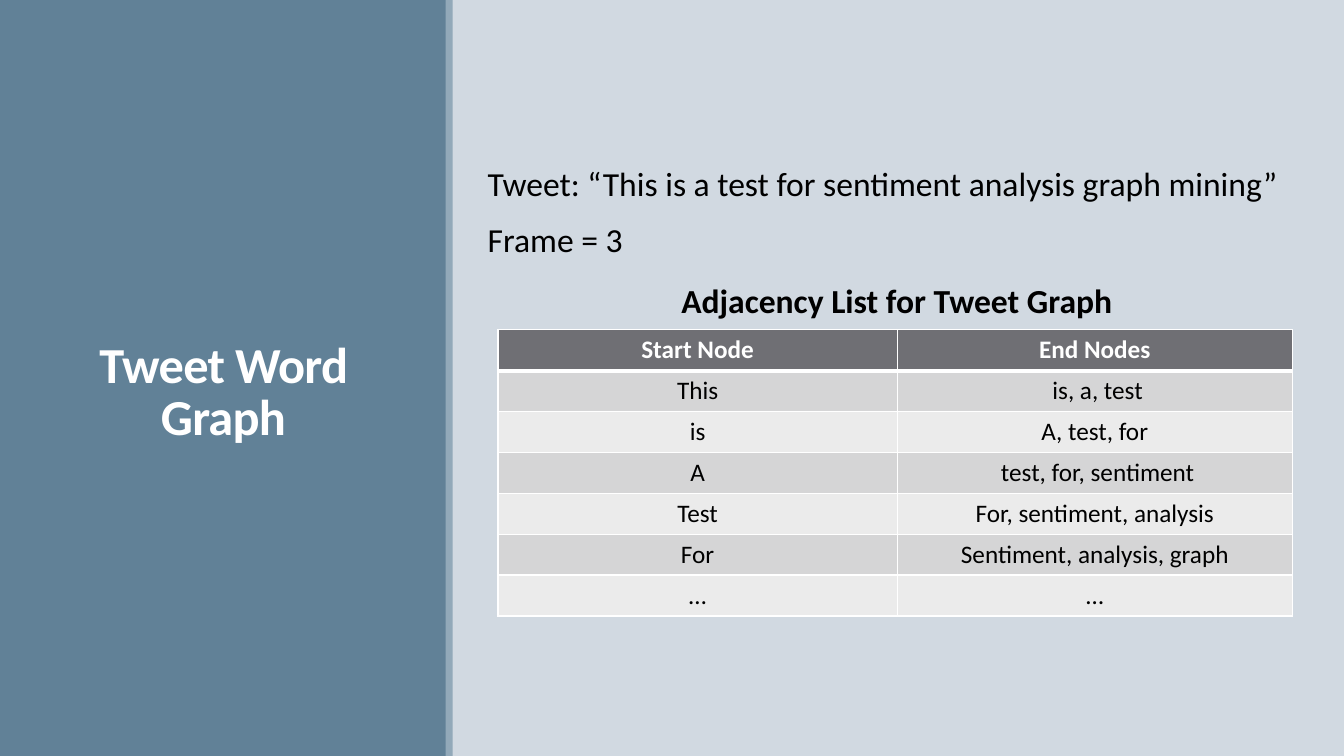
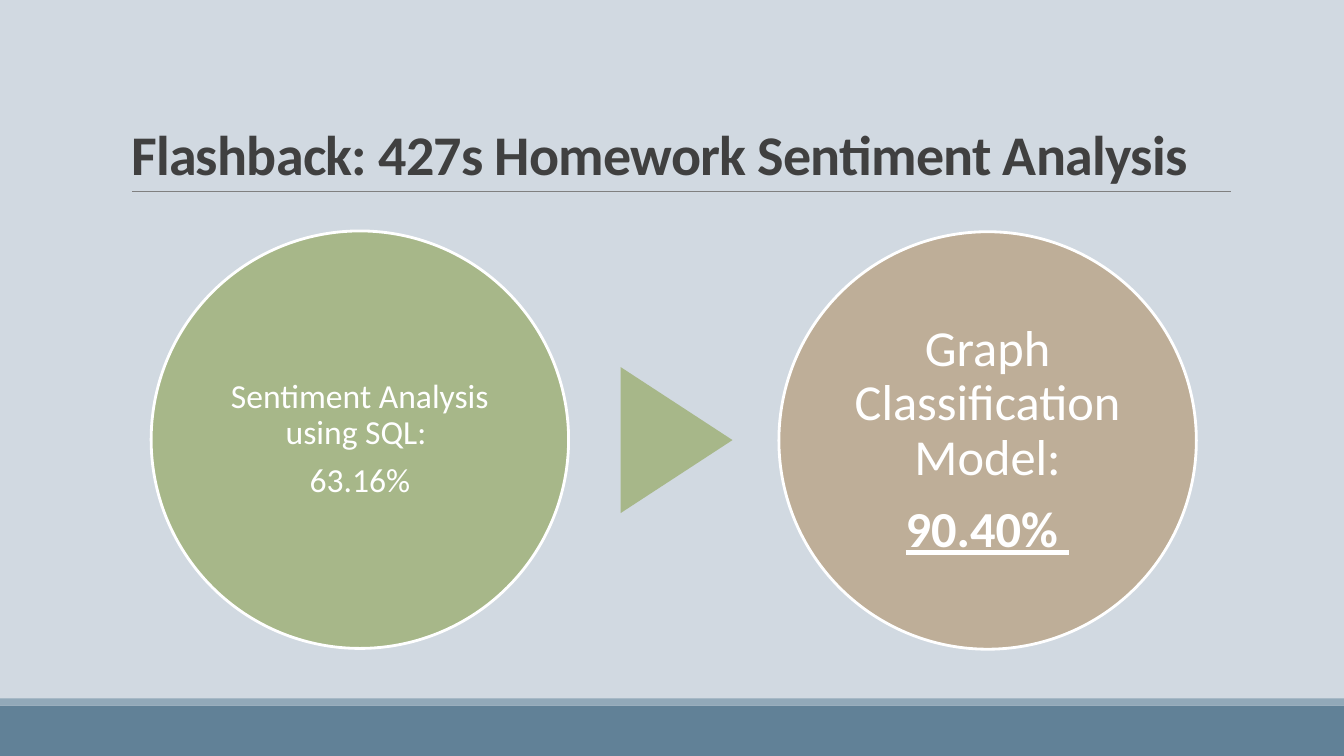
from lxml import etree
from pptx import Presentation
from pptx.dml.color import RGBColor
from pptx.enum.shapes import MSO_CONNECTOR, MSO_SHAPE
from pptx.enum.text import MSO_ANCHOR, MSO_AUTO_SIZE, PP_ALIGN
from pptx.oxml import parse_xml
from pptx.oxml.ns import nsdecls, qn
from pptx.util import Cm, Pt

LEFT, CENTER = PP_ALIGN.LEFT, PP_ALIGN.CENTER
TOP, MIDDLE, BOTTOM = MSO_ANCHOR.TOP, MSO_ANCHOR.MIDDLE, MSO_ANCHOR.BOTTOM
RECT, OVAL, TRIANGLE = MSO_SHAPE.RECTANGLE, MSO_SHAPE.OVAL, MSO_SHAPE.ISOSCELES_TRIANGLE
STRAIGHT = MSO_CONNECTOR.STRAIGHT
FIXED_SIZE = MSO_AUTO_SIZE.NONE

FONT = "Calibri"
WHITE = RGBColor(0xFF, 0xFF, 0xFF)
BLACK = RGBColor(0, 0, 0)
BACKGROUND = RGBColor(0xD1, 0xD9, 0xE1)
BAND = RGBColor(0x61, 0x81, 0x97)
STRIPE = RGBColor(0x92, 0xA9, 0xB9)
TITLE_GREY = RGBColor(0x40, 0x40, 0x40)
RULE_GREY = RGBColor(0x80, 0x80, 0x80)
GREEN = RGBColor(0xA7, 0xB7, 0x89)
TAN = RGBColor(0xBE, 0xAE, 0x98)
HEADER_FILL = RGBColor(0x6F, 0x6F, 0x74)
ROW_FILLS = RGBColor(0xEB, 0xEB, 0xEB), RGBColor(0xD5, 0xD5, 0xD6)

WIDTH, HEIGHT = 33.87, 19.05
STRIPE_SIZE = 0.18

# Slide content
GRAPH_TITLE = "Tweet Word Graph"
TWEET_LINES = [
    "Tweet: “This is a test for sentiment analysis graph mining”",
    "Frame = 3",
]
TABLE_CAPTION = "Adjacency List for Tweet Graph"
ADJACENCY = [
    ("Start Node", "End Nodes"),
    ("This", " is, a, test"),
    ("is", "A, test, for"),
    ("A", " test, for, sentiment"),
    ("Test", "For, sentiment, analysis"),
    ("For", "Sentiment, analysis, graph"),
    ("…", "…"),
]
FLASHBACK_TITLE = "Flashback: 427s Homework Sentiment Analysis"
# left, top, fill, text size, inset, (text, emphasised) paragraphs
MODELS = [
    (3.81, 5.82, GREEN, 24, 0.08,
     [("Sentiment Analysis using SQL: ", False), ("63.16%", False)]),
    (19.63, 5.84, TAN, 36, 0.13,
     [("Graph Classification Model:", False), ("90.40% ", True)]),
]
CIRCLE_SIZE = 10.52


def cms(*values):
    return [Cm(v) for v in values]


def add_run(p, text, size, color, bold=False):
    r = p.add_run()
    r.text = text
    r.font.name, r.font.size, r.font.bold = FONT, Pt(size), bold
    r.font.color.rgb = color
    return r


def place(sp, box, anchor):
    """Move a text shape to a box and fix its wrapping and anchor."""
    sp.left, sp.top, sp.width, sp.height = cms(*box)
    tf = sp.text_frame
    tf.auto_size = FIXED_SIZE
    tf.word_wrap = True
    tf.vertical_anchor = anchor
    return tf


def set_title(slide, text, box, size, color, align):
    p = place(slide.shapes.title, box, BOTTOM).paragraphs[0]
    p.alignment, p.line_spacing = align, 0.85
    r = add_run(p, text, size, color, bold=True)
    r.font._element.set("spc", "-50")


def add_filled(slide, kind, box, fill):
    sp = slide.shapes.add_shape(kind, *cms(*box))
    sp.shadow.inherit = False
    sp.fill.solid()
    sp.fill.fore_color.rgb = fill
    sp.line.fill.background()
    return sp


def add_bands(slide, band_box, stripe_box):
    """Draw the band and its stripe behind the placeholders."""
    for i, (box, fill) in enumerate(((band_box, BAND), (stripe_box, STRIPE))):
        el = add_filled(slide, RECT, box, fill).element
        el.getparent().insert(2 + i, el)


def set_borders(cell, top_width, bottom_width):
    tc_pr = cell._tc.get_or_add_tcPr()
    widths = {"lnL": 1, "lnR": 1, "lnT": top_width, "lnB": bottom_width}
    for i, (side, width) in enumerate(widths.items()):
        tc_pr.insert(i, parse_xml(
            f'<a:{side} {nsdecls("a")} w="{Pt(width)}"><a:solidFill>'
            f'<a:srgbClr val="{WHITE}"/></a:solidFill></a:{side}>'))


def add_adjacency_table(slide):
    row_height, col_widths = 1.03, (10.06, 9.96)
    table = slide.shapes.add_table(
        len(ADJACENCY), len(col_widths),
        *cms(12.55, 8.31, sum(col_widths), row_height * len(ADJACENCY))).table
    for col, width in zip(table.columns, col_widths):
        col.width = Cm(width)
    for i, texts in enumerate(ADJACENCY):
        header = i == 0
        table.rows[i].height = Cm(row_height)
        for j, text in enumerate(texts):
            cell = table.cell(i, j)
            cell.fill.solid()
            cell.fill.fore_color.rgb = HEADER_FILL if header else ROW_FILLS[i % 2]
            set_borders(cell, 3 if i == 1 else 1, 3 if header else 1)
            p = cell.text_frame.paragraphs[0]
            p.alignment = CENTER
            add_run(p, text, 18, WHITE if header else BLACK, header)


def build_graph_slide(prs):
    slide = prs.slides.add_slide(prs.slide_layouts[1])
    add_bands(slide, (0, 0, 11.25, HEIGHT), (11.23, 0, STRIPE_SIZE, HEIGHT))
    set_title(slide, GRAPH_TITLE, (1.35, 5.51, 8.56, 5.84), 36, WHITE, CENTER)

    tf = place(slide.placeholders[1], (12.29, 4.09, 20.65, 2.84), TOP)
    tf.margin_left = tf.margin_right = 0
    for i, text in enumerate(TWEET_LINES):
        p = tf.add_paragraph() if i else tf.paragraphs[0]
        p.line_spacing, p.space_before, p.space_after = 0.9, Pt(12), Pt(2)
        p_pr = p._p.get_or_add_pPr()
        p_pr.set("marL", "0")
        p_pr.set("indent", "0")
        etree.SubElement(p_pr, qn("a:buNone"))
        add_run(p, text, 24, BLACK)

    add_adjacency_table(slide)
    caption_box = (16.92, 6.93, 11.84, 1.27)
    caption = slide.shapes.add_textbox(*cms(*caption_box))
    tf = place(caption, caption_box, TOP)
    add_run(tf.paragraphs[0], TABLE_CAPTION, 24, BLACK, bold=True)


def add_model_circle(slide, left, top, fill, size, inset, paragraphs):
    box = (left, top, CIRCLE_SIZE, CIRCLE_SIZE)
    sp = add_filled(slide, OVAL, box, fill)
    sp.line.color.rgb, sp.line.width = WHITE, Pt(2)
    tf = place(sp, box, MIDDLE)
    tf.margin_left = tf.margin_right = tf.margin_top = tf.margin_bottom = Cm(inset)
    for i, (text, emphasised) in enumerate(paragraphs):
        p = tf.add_paragraph() if i else tf.paragraphs[0]
        p.alignment, p.line_spacing, p.space_after = CENTER, 0.9, Pt(size * 0.35)
        r = add_run(p, text, size, WHITE, emphasised)
        r.font.underline = emphasised


def build_flashback_slide(prs):
    slide = prs.slides.add_slide(prs.slide_layouts[5])
    add_bands(slide, (0, 17.78, WIDTH, 1.27), (0, 17.6, WIDTH, STRIPE_SIZE))
    set_title(slide, FLASHBACK_TITLE, (3.05, 0.79, 27.94, 4.04), 40, TITLE_GREY, LEFT)

    rule = slide.shapes.add_connector(STRAIGHT, *cms(3.33, 4.83, 31.01, 4.83))
    rule.line.color.rgb, rule.line.width = RULE_GREY, Pt(0.5)
    etree.SubElement(rule.element.spPr, qn("a:effectLst"))

    for model in MODELS:
        add_model_circle(slide, *model)
    arrow = add_filled(slide, TRIANGLE, (15.21, 9.68, 3.68, 2.82), GREEN)
    arrow.rotation = 90


def main():
    prs = Presentation()
    prs.slide_width, prs.slide_height = cms(WIDTH, HEIGHT)
    fill = prs.slide_master.background.fill
    fill.solid()
    fill.fore_color.rgb = BACKGROUND
    build_graph_slide(prs)
    build_flashback_slide(prs)
    prs.save("out.pptx")


if __name__ == "__main__":
    main()
